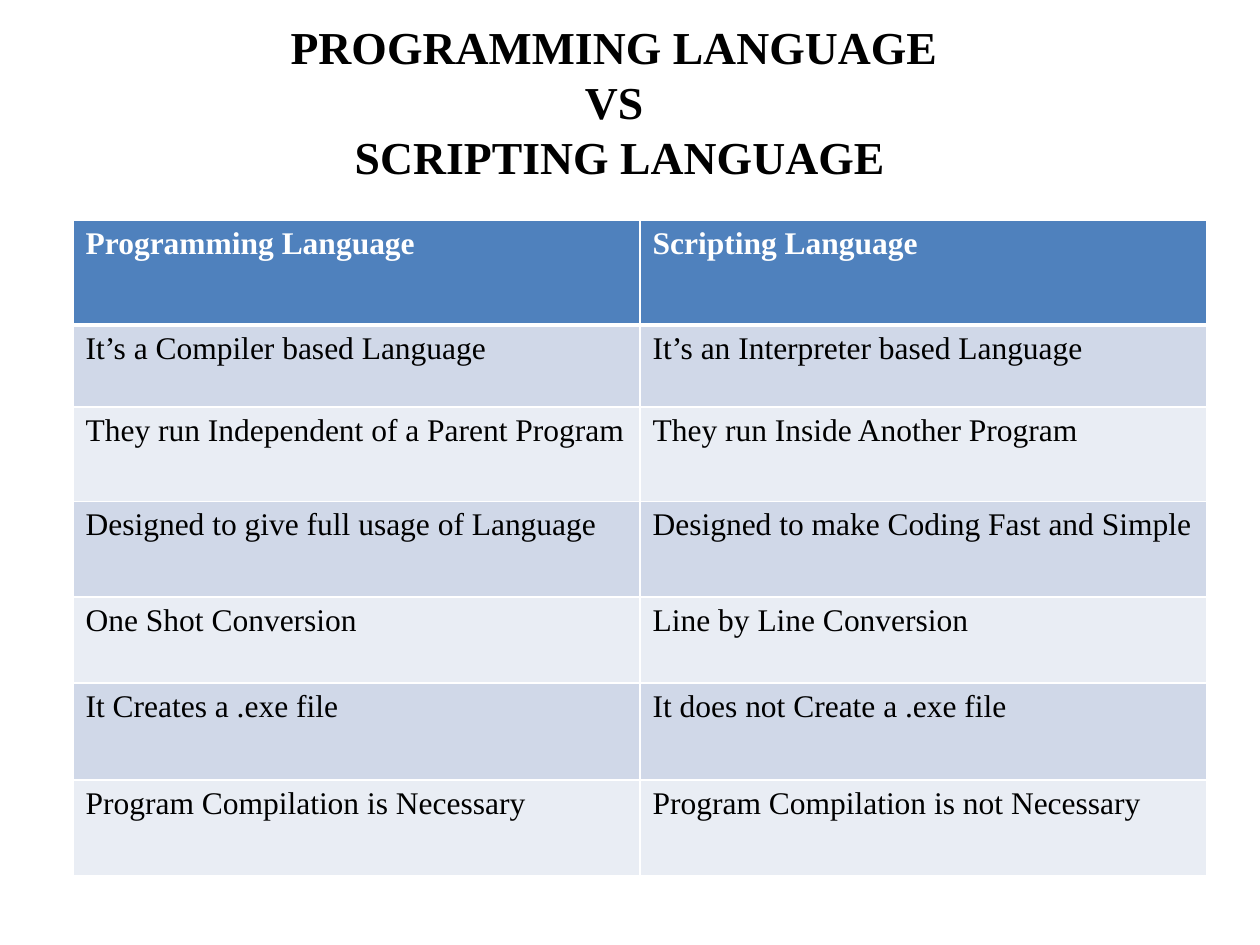
"""Build a slide comparing programming and scripting languages in a table."""
from lxml import etree
from pptx import Presentation
from pptx.dml.color import RGBColor
from pptx.enum.text import MSO_ANCHOR, PP_ALIGN
from pptx.oxml.ns import qn
from pptx.util import Inches, Pt

MIDDLE = MSO_ANCHOR.MIDDLE
CENTER = PP_ALIGN.CENTER
FONT = "Times New Roman"
COLORS = {
    "black": "000000",
    "white": "FFFFFF",
    "header": "4F81BD",
    "odd": "D0D8E8",
    "even": "E9EDF4",
}
TITLE_LINES = ["PROGRAMMING LANGUAGE ", "VS ", "SCRIPTING LANGUAGE"]
ROWS = [
    ("Programming Language", "Scripting Language"),
    ("It’s a Compiler based Language", "It’s an Interpreter based Language"),
    ("They run Independent of a Parent Program", "They run Inside Another Program"),
    ("Designed to give full usage of Language", "Designed to make Coding Fast and Simple"),
    ("One Shot Conversion", "Line by Line Conversion"),
    ("It Creates a .exe file", "It does not Create a .exe file"),
    ("Program Compilation is Necessary", "Program Compilation is not Necessary"),
]
ROW_HEIGHTS = [0.83, 0.65, 0.75, 0.76, 0.68, 0.77, 0.76]


def add_span(paragraph, text, size, color, bold):
    span = paragraph.add_run()
    span.text = text
    span.font.name = FONT
    span.font.size = Pt(size)
    span.font.bold = bold
    span.font.color.rgb = RGBColor.from_string(COLORS[color])


def add_borders(cell, bottom_width):
    properties = cell._tc.get_or_add_tcPr()
    widths = {"a:lnL": 1, "a:lnR": 1, "a:lnT": 1, "a:lnB": bottom_width}
    for position, (tag, width) in enumerate(widths.items()):
        line = etree.Element(qn(tag), w=str(Pt(width)))
        fill = etree.SubElement(line, qn("a:solidFill"))
        etree.SubElement(fill, qn("a:srgbClr"), val=COLORS["white"])
        properties.insert(position, line)


deck = Presentation()
deck.slide_width = Inches(10)
deck.slide_height = Inches(7.5)
page = deck.slides.add_slide(deck.slide_layouts[6])

title_box = page.shapes.add_textbox(Inches(0.42), Inches(0.42), Inches(9), Inches(1.42))
title_frame = title_box.text_frame
title_frame.word_wrap = True
title_frame.vertical_anchor = MIDDLE
title_frame.margin_top = Inches(0)
title_frame.margin_bottom = Inches(0.65)
title = title_frame.paragraphs[0]
title.alignment = CENTER
title.line_spacing = Pt(31.4)
for index, text in enumerate(TITLE_LINES):
    if index:
        title.add_line_break()
    add_span(title, text, 26.1, "black", True)

table = page.shapes.add_table(
    len(ROWS), 2, Inches(0.58), Inches(1.75), Inches(9), Inches(sum(ROW_HEIGHTS))
).table
for row_index, (texts, height) in enumerate(zip(ROWS, ROW_HEIGHTS)):
    table.rows[row_index].height = Inches(height)
    is_header = row_index == 0
    band = "header" if is_header else "odd" if row_index % 2 else "even"
    for column_index, text in enumerate(texts):
        cell = table.cell(row_index, column_index)
        cell.fill.solid()
        cell.fill.fore_color.rgb = RGBColor.from_string(COLORS[band])
        add_borders(cell, 3 if is_header else 1)
        paragraph = cell.text_frame.paragraphs[0]
        add_span(paragraph, text, 18, "white" if is_header else "black", is_header)

deck.save("out.pptx")
